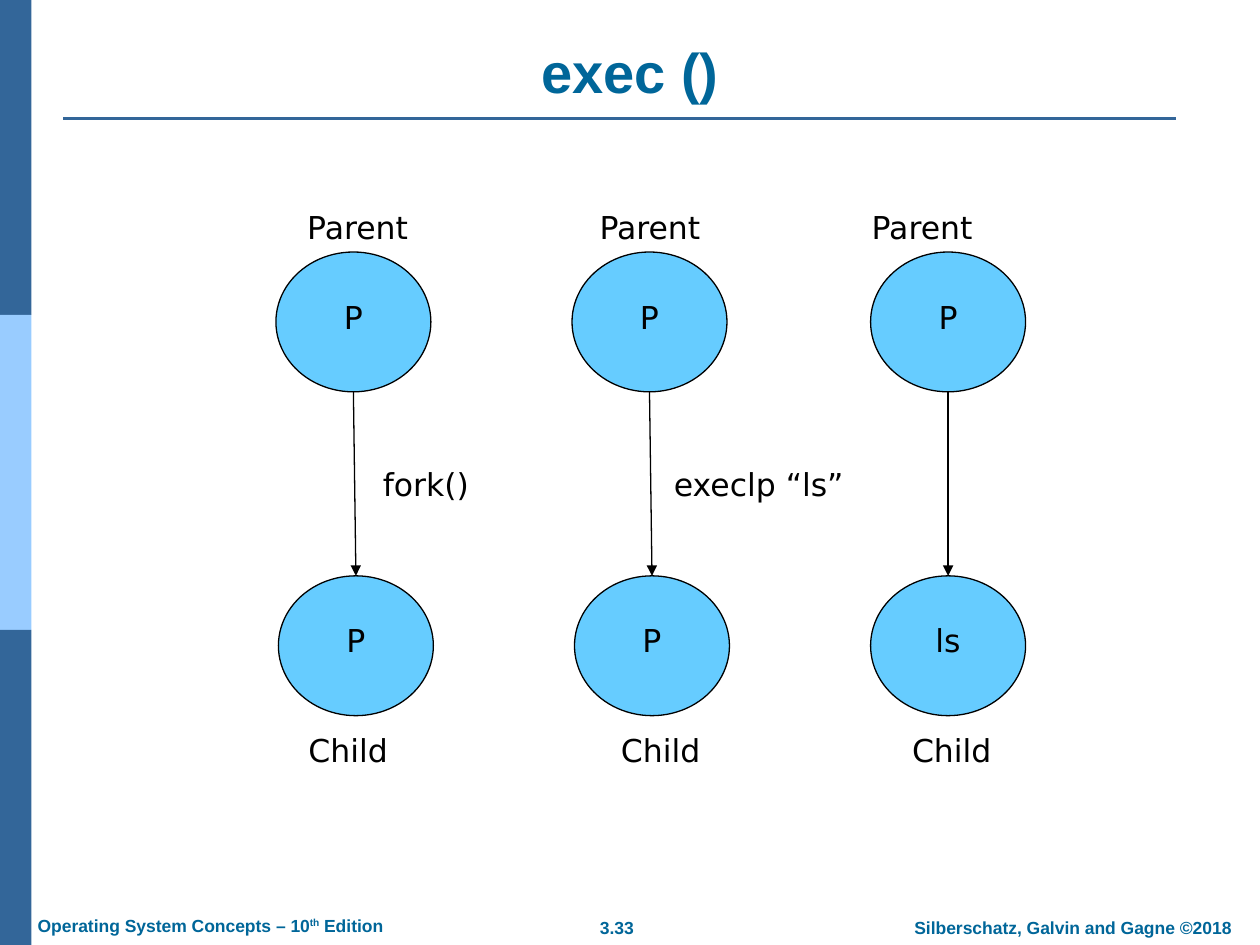
"""Build the exec () slide: three stages of a parent and child process."""
import pptx
import pptx.dml.color
import pptx.enum.shapes
import pptx.enum.text
import pptx.oxml.ns
import pptx.util
from lxml import etree

COLORS = {"band": "336699", "band_light": "99CCFF", "heading": "006699",
          "process": "66CCFF", "ink": "000000"}
BANDS = ["band", "band_light", "band"]
STAGES = [
    {"parent": (2.19, "P"), "child": (2.21, "P")},
    {"parent": (4.54, "P"), "child": (4.56, "P")},
    {"parent": (6.91, "P"), "child": (6.91, "ls")},
]
ROW_TOPS = {"parent": 2, "child": 4.57}
PROCESS_WIDTH, PROCESS_HEIGHT = 1.23, 1.11
LABEL_ROWS = [
    (["Parent", "Parent", "Parent"], (2.34, 1.6, 7.46, 0.4), [2.32, 4.48]),
    (["fork()", "execlp “ls”"], (2.94, 3.64, 3.88, 0.4), [2.31]),
    (["Child", "Child", "Child"], (2.35, 5.75, 7.46, 0.4), [2.48, 4.79]),
]
FOOTERS = [
    (["3.33"], (4.65, 7.23, 0.49, 0.27), "CENTER"),
    (["Silberschatz, Galvin and Gagne ©2018"], (7.03, 7.23, 2.97, 0.27), "CENTER"),
    (["Operating System Concepts – 10", "th", " Edition"], (0.2, 7.21, 2.99, 0.27), "LEFT"),
]

Inches = pptx.util.Inches
Shape = pptx.enum.shapes.MSO_SHAPE
Align = pptx.enum.text.PP_ALIGN
Anchor = pptx.enum.text.MSO_ANCHOR
qn = pptx.oxml.ns.qn


def rgb(name):
    return pptx.dml.color.RGBColor.from_string(COLORS[name])


def write(shape, pieces, size, font="DejaVu Sans", color="ink", bold=False,
          align=Align.LEFT, anchor=Anchor.TOP):
    shape.text_frame.word_wrap = True
    shape.text_frame.vertical_anchor = anchor
    paragraph = shape.text_frame.paragraphs[0]
    paragraph.alignment = align
    paragraph.font.name, paragraph.font.size = font, pptx.util.Pt(size)
    paragraph.font.bold, paragraph.font.color.rgb = bold, rgb(color)
    for piece in pieces:
        paragraph.add_run().text = piece
    return paragraph


def add_text(slide, box, pieces, size, **style):
    return write(slide.shapes.add_textbox(*map(Inches, box)), pieces, size, **style)


def add_filled(slide, kind, box, color):
    shape = slide.shapes.add_shape(kind, *map(Inches, box))
    shape.shadow.inherit = False
    shape.fill.solid()
    shape.fill.fore_color.rgb = rgb(color)
    shape.line.fill.background()
    return shape


def add_line(slide, ends, color, width, arrow=False):
    line = slide.shapes.add_connector(
        pptx.enum.shapes.MSO_CONNECTOR.STRAIGHT, *map(Inches, ends))
    line.line.color.rgb = rgb(color)
    line.line.width = pptx.util.Pt(width)
    if arrow:
        etree.SubElement(line.line._get_or_add_ln(), qn("a:tailEnd"), type="triangle")
    etree.SubElement(line._element.spPr, qn("a:effectLst"))


def add_process(slide, left, top, label):
    box = (left, top, PROCESS_WIDTH, PROCESS_HEIGHT)
    process = add_filled(slide, Shape.OVAL, box, "process")
    process.line.color.rgb = rgb("ink")
    process.line.width = pptx.util.Pt(0.75)
    write(process, [label], 18, align=Align.CENTER).line_spacing = 1.5


def add_label_row(slide, labels, box, stops):
    paragraph = add_text(slide, box, ["\t".join(labels)], 18)
    tabs = etree.Element(qn("a:tabLst"))
    for stop in stops:
        etree.SubElement(tabs, qn("a:tab"), pos=str(Inches(stop)), algn="l")
    paragraph._p.get_or_add_pPr().insert(0, tabs)


def main():
    deck = pptx.Presentation()
    deck.slide_width, deck.slide_height = Inches(10), Inches(7.5)
    slide = deck.slides.add_slide(deck.slide_layouts[6])

    band_height = 7.5 / len(BANDS)
    for row, color in enumerate(BANDS):
        add_filled(slide, Shape.RECTANGLE, (0, row * band_height, 0.25, band_height), color)
    add_line(slide, (0.5, 0.94, 9.33, 0.94), "band", 1.5)

    for pieces, box, align in FOOTERS:
        footer = add_text(slide, box, pieces, 10, font="Arial", color="heading",
                          bold=True, align=Align[align])
        for run in footer.runs:
            if run.text == "th":
                run.font._element.set("baseline", "30000")
    add_text(slide, (0.5, 0.25, 9, 0.63), ["exec ()"], 32, font="Arial", color="heading",
             bold=True, align=Align.CENTER, anchor=Anchor.BOTTOM)

    for stage in STAGES:
        for role, (left, label) in stage.items():
            add_process(slide, left, ROW_TOPS[role], label)
        start, end = (stage[role][0] + PROCESS_WIDTH / 2 for role in ROW_TOPS)
        add_line(slide, (start, ROW_TOPS["parent"] + PROCESS_HEIGHT, end, ROW_TOPS["child"]),
                 "ink", 0.75, arrow=True)
    for labels, box, stops in LABEL_ROWS:
        add_label_row(slide, labels, box, stops)

    deck.save("out.pptx")


if __name__ == "__main__":
    main()
